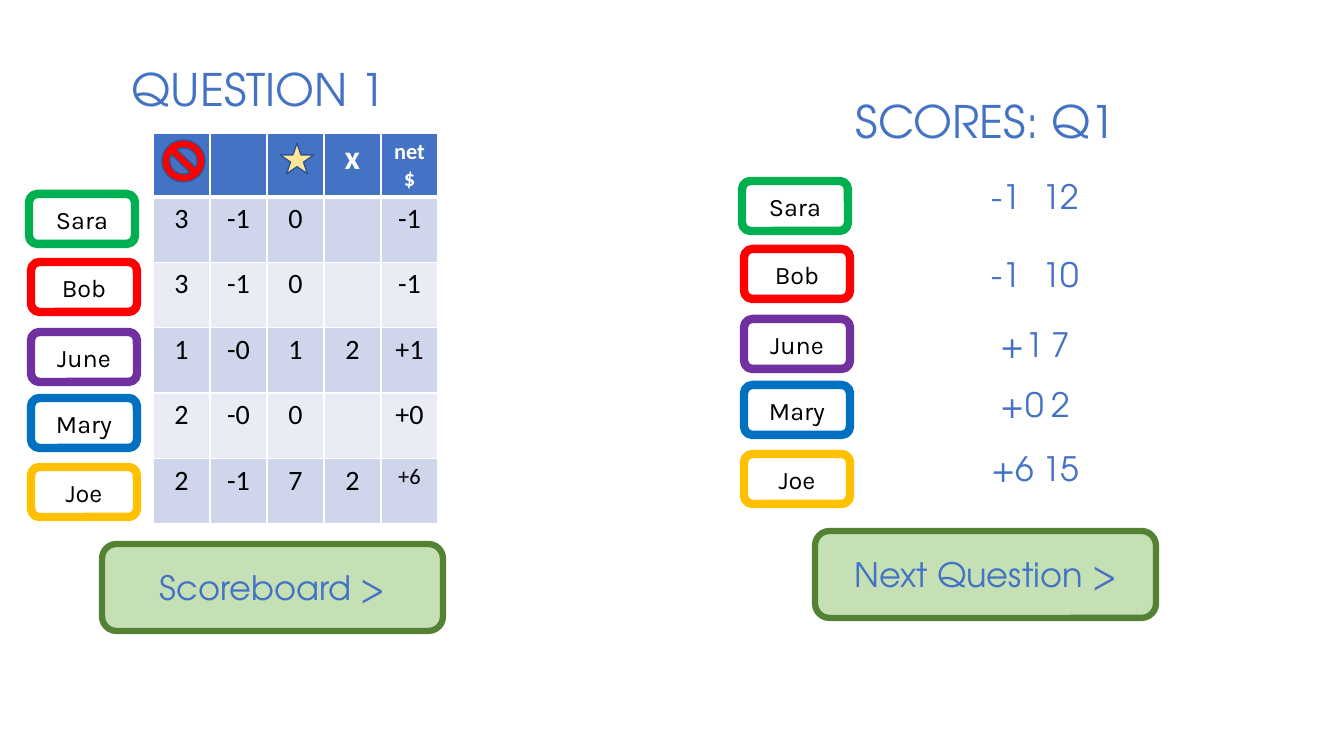
import pptx
import pptx.util
import pptx.dml.color
import pptx.enum.shapes
import pptx.enum.text
import pptx.oxml
import pptx.oxml.ns

"""Build the quiz slide with its question table and score list."""

COLOURS = {
    "blue": "4472C4", "outline": "325491", "white": "FFFFFF", "black": "000000",
    "button": "C5E0B4", "button_line": "548235", "star": "FFE699",
    "red": "FF0000", "odd_row": "CFD5EA", "even_row": "E9EBF5",
    "Sara": "00B050", "Bob": "FF0000", "June": "7030A0",
    "Mary": "0070C0", "Joe": "FFC000",
}
HEADING_FONT, NAME_FONT, TABLE_FONT = "TeX Gyre Adventor", "Karla", "Calibri"
PLAYERS = [("Sara", 29, 194), ("Bob", 31, 262), ("June", 31, 332),
           ("Mary", 31, 398), ("Joe", 31, 467)]
PANELS = [
    {"title": "QUESTION 1", "title_at": (97, 57), "button": "Scoreboard >", "shift": (0, 0)},
    {"title": "SCORES: Q1", "title_at": (824, 89), "button": "Next Question >", "shift": (713, -13)},
]
SCORES = [("-1", "12", 171), ("-1", "10", 249), ("+1", "7", 319),
          ("+0", "2", 379), ("+6", "15", 443)]
ROUNDS = [
    ["", "", "", "x", "net $"],
    ["3", "-1", "0", "", "-1"],
    ["3", "-1", "0", "", "-1"],
    ["1", "-0", "1", "2", "+1"],
    ["2", "-0", "0", "", "+0"],
    ["2", "-1", "7", "2", "+6"],
]
SPECIAL_SIZES = {(0, 3): 24, (0, 4): 16, (5, 4): 16}
TABLE_AT, COLUMN_WIDTH, HEADER_HEIGHT, BODY_HEIGHT = (153, 133), 57, 62, 327
SYMBOLS = [("STAR_5_POINT", (280, 143, 34, 31), "star"),
           ("NO_SYMBOL", (162, 140, 43, 42), "red")]

SHAPES = pptx.enum.shapes.MSO_SHAPE
MIDDLE = pptx.enum.text.MSO_ANCHOR.MIDDLE
CENTER = pptx.enum.text.PP_ALIGN.CENTER


def px(length):
    """Turn pixels into EMU."""
    return pptx.util.Emu(round(length * 914400 / 100.8))


def rgb(name):
    """Look up a named colour."""
    return pptx.dml.color.RGBColor.from_string(COLOURS[name])


def write(frame, text, font, size, colour, bold=False):
    """Write one centred paragraph."""
    para = frame.paragraphs[0]
    para.text = text
    para.alignment = CENTER
    para.font.name, para.font.size, para.font.bold = font, pptx.util.Pt(size), bold
    para.font.color.rgb = rgb(colour)


def add_shape(page, kind, at, fill, line, width):
    """Add a filled and outlined preset shape."""
    shape = page.shapes.add_shape(kind, *map(px, at))
    shape.shadow.inherit = False
    shape.fill.solid()
    shape.fill.fore_color.rgb = rgb(fill)
    shape.line.color.rgb = rgb(line)
    shape.line.width = pptx.util.Pt(width)
    shape.text_frame.vertical_anchor = MIDDLE
    return shape


def add_label(page, text, at, size):
    """Add a centred heading text box."""
    box = page.shapes.add_textbox(*map(px, at))
    box.text_frame.word_wrap = True
    write(box.text_frame, text, HEADING_FONT, size, "blue")


def add_panel(page, panel):
    """Add the title, button and player cards of one panel."""
    right, down = panel["shift"]
    add_label(page, panel["title"], (*panel["title_at"], 323, 65), 32)
    button = add_shape(page, SHAPES.ROUNDED_RECTANGLE, (102 + right, 544 + down, 341, 87),
                       "button", "button_line", 4.5)
    write(button.text_frame, panel["button"], HEADING_FONT, 24, "blue")
    for name, left, top in PLAYERS:
        card = add_shape(page, SHAPES.ROUNDED_RECTANGLE, (left + right, top + down, 106, 50),
                         "white", name, 6)
        write(card.text_frame, name, NAME_FONT, 18, "black")


def set_borders(cell, bottom):
    """Draw white borders with the given bottom width in points."""
    properties = cell._tc.get_or_add_tcPr()
    namespace = pptx.oxml.ns.nsdecls("a")
    for index, (side, width) in enumerate([("L", 1), ("R", 1), ("T", 1), ("B", bottom)]):
        border = pptx.oxml.parse_xml(
            f'<a:ln{side} {namespace} w="{width * 12700}"><a:solidFill>'
            f'<a:srgbClr val="{COLOURS["white"]}"/></a:solidFill></a:ln{side}>')
        properties.insert(index, border)


def add_rounds(page):
    """Add the table of question results."""
    rows, columns = len(ROUNDS), len(ROUNDS[0])
    size = (COLUMN_WIDTH * columns, HEADER_HEIGHT + BODY_HEIGHT)
    table = page.shapes.add_table(rows, columns, *map(px, TABLE_AT + size)).table
    for column in table.columns:
        column.width = px(COLUMN_WIDTH)
    for row_index, values in enumerate(ROUNDS):
        header = row_index == 0
        table.rows[row_index].height = px(HEADER_HEIGHT if header else BODY_HEIGHT / (rows - 1))
        fill = "blue" if header else ("even_row", "odd_row")[row_index % 2]
        for column_index, value in enumerate(values):
            cell = table.cell(row_index, column_index)
            cell.fill.solid()
            cell.fill.fore_color.rgb = rgb(fill)
            set_borders(cell, 3 if header else 1)
            write(cell.text_frame, value, TABLE_FONT,
                  SPECIAL_SIZES.get((row_index, column_index), 20),
                  "white" if header else "black", header)


deck = pptx.Presentation()
deck.slide_width, deck.slide_height = px(1344), px(756)
page = deck.slides.add_slide(deck.slide_layouts[6])
for panel in PANELS:
    add_panel(page, panel)
add_rounds(page)
for change, total, top in SCORES:
    add_label(page, f"{change}\t{total}", (874, top, 323, 50), 24)
for kind, at, fill in SYMBOLS:
    add_shape(page, getattr(SHAPES, kind), at, fill, "outline", 1)
deck.save("out.pptx")
